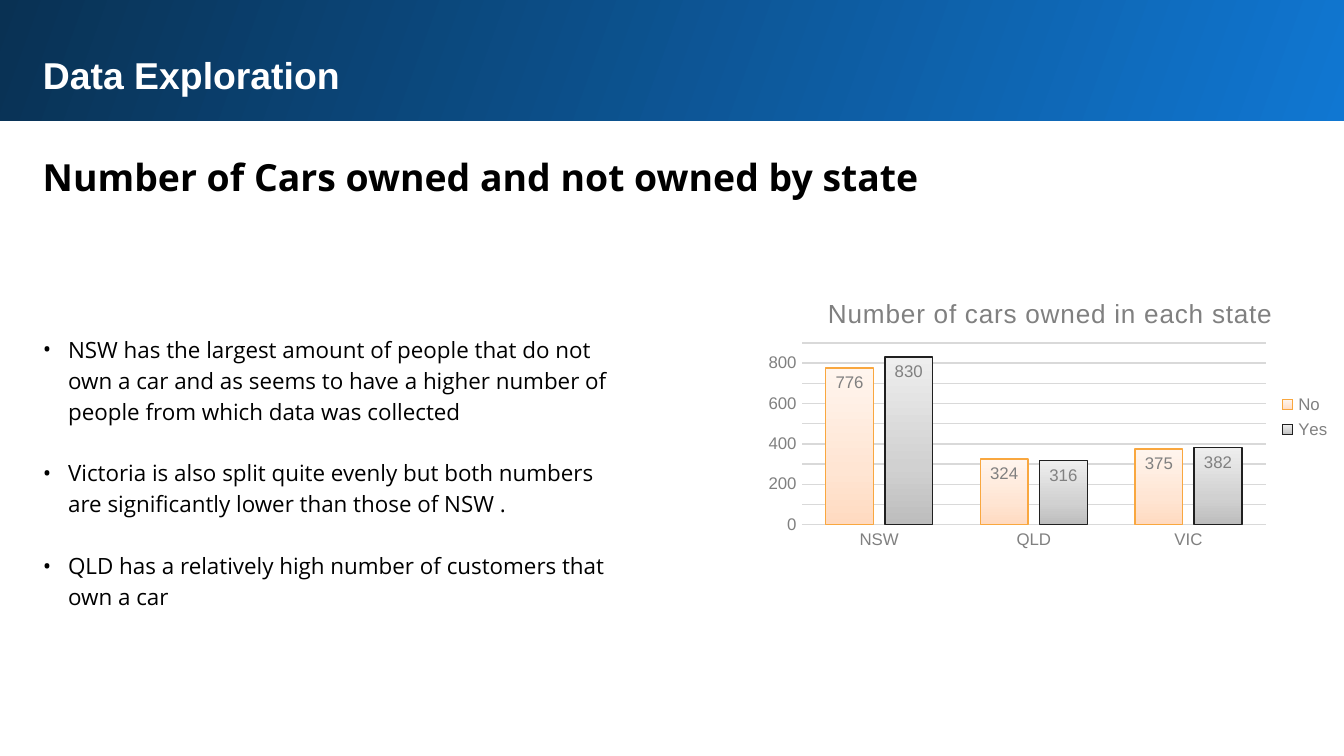
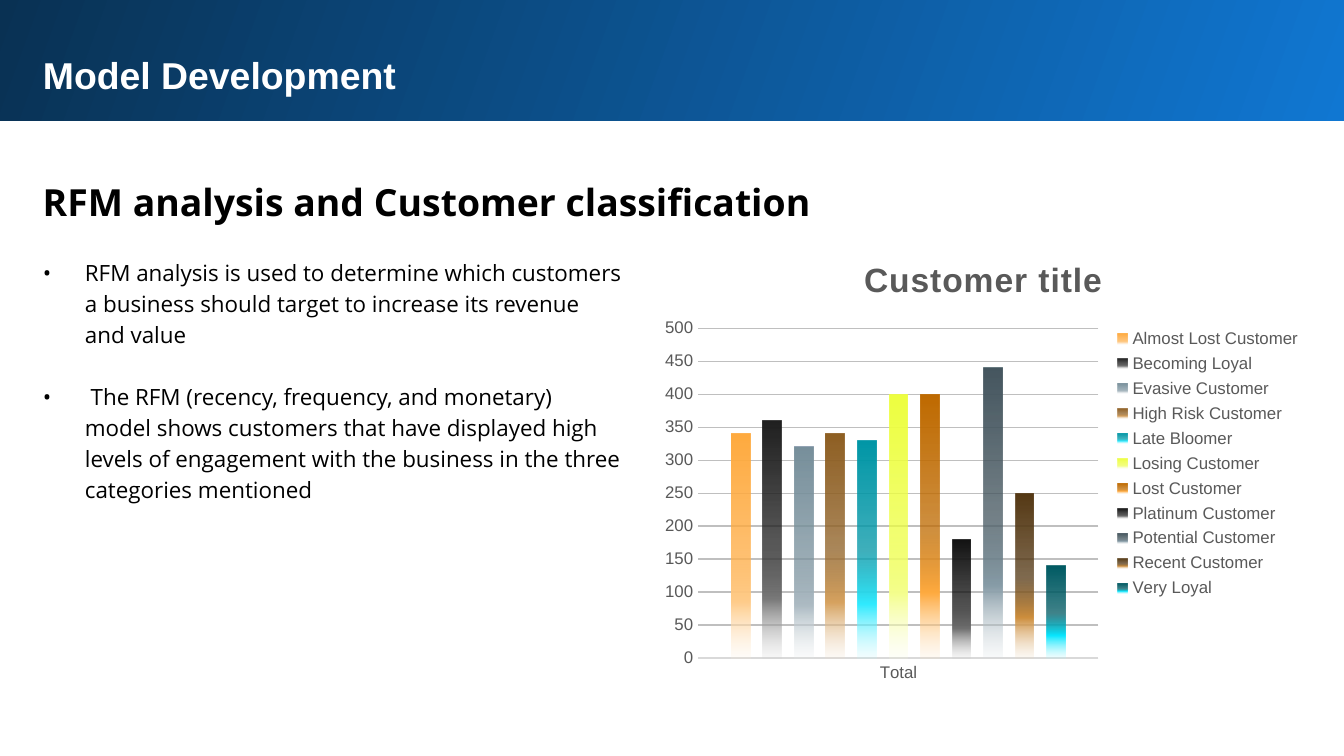
from dataclasses import dataclass

from lxml import etree
from pptx import Presentation
from pptx import util as u
from pptx.chart.data import CategoryChartData
from pptx.dml.color import RGBColor
from pptx.enum import chart as charts, shapes, text
from pptx.oxml.ns import qn

Pt = u.Pt


@dataclass(frozen=True)
class Theme:
    heading_font: str = "Arial"
    body_font: str = "Open Sans"
    white: str = "FFFFFF"
    ink: str = "000000"
    axis_line: str = "D9D9D9"
    band: tuple = ((0, "1077D2"), (100, "093153"))
    heading_size: int = 20
    body_size: int = 12
    chart_size: int = 9


theme = Theme()


def write_text(frame, lines, font=theme.body_font, size=theme.body_size,
               color=theme.ink, bold=False, spacing=1.0, indent=0, gap=0):
    """Fill a text frame; an indent turns the lines into bullets."""
    frame.word_wrap = True
    frame.auto_size = text.MSO_AUTO_SIZE.NONE
    frame.vertical_anchor = text.MSO_ANCHOR.TOP
    frame.margin_left = frame.margin_right = Pt(7.2)
    frame.margin_top = frame.margin_bottom = Pt(7.2)
    for number, line in enumerate(lines):
        paragraph = frame.add_paragraph() if number else frame.paragraphs[0]
        paragraph.alignment = text.PP_ALIGN.LEFT
        paragraph.line_spacing = spacing
        paragraph.space_before = Pt(gap if number else 0)
        paragraph.space_after = Pt(0)
        run = paragraph.add_run()
        run.text = line
        run.font.name, run.font.size, run.font.bold = font, Pt(size), bold
        run.font.color.rgb = RGBColor.from_string(color)
        if indent:
            properties = paragraph._p.get_or_add_pPr()
            properties.set("marL", str(Pt(indent)))
            properties.set("indent", str(-Pt(indent)))
            etree.SubElement(properties, qn("a:buFont"), typeface=font)
            etree.SubElement(properties, qn("a:buChar"), char="•")


def paint_gradient(fill, element, stops, angle):
    """Stops are (percent, colour) or (percent, colour, opacity percent)."""
    fill.gradient()
    gradient = next(element.iter(qn("a:gradFill")))
    gradient.clear()
    stop_list = etree.SubElement(gradient, qn("a:gsLst"))
    for position, color, *opacity in stops:
        stop = etree.SubElement(stop_list, qn("a:gs"), pos=str(position * 1000))
        shade = etree.SubElement(stop, qn("a:srgbClr"), val=color)
        if opacity:
            etree.SubElement(shade, qn("a:alpha"), val=str(opacity[0] * 1000))
    etree.SubElement(gradient, qn("a:lin"), ang=str(angle * 60000), scaled="0")


# Series: name, values, gradient colours from the first stop to the last, outline
car_series = [
    ("No", (776, 324, 375), ("FFDAC0", "FFE5D3", "FFF5EE"), "F9A73F"),
    ("Yes", (830, 316, 382), ("BDBDBD", "D1D1D1", "EEEEEE"), "202020"),
]
customer_series = [
    ("Almost Lost Customer", (340,), ("FFAB40", "FFCD8C", "FFEED9"), None),
    ("Becoming Loyal", (360,), ("212121", "7A7A7A", "D3D3D3"), None),
    ("Evasive Customer", (320,), ("78909C", "AEBCC4", "E4E9EB"), None),
    ("High Risk Customer", (340,), ("8F6024", "D7A360", "F2E0CA"), None),
    ("Late Bloomer", (330,), ("0097A7", "31EBFF", "BAF8FF"), None),
    ("Losing Customer", (400,), ("EEFF41", "F5FF8D", "FCFFD9"), None),
    ("Lost Customer", (400,), ("BF6B00", "FFAB40", "FFE3BF"), None),
    ("Platinum Customer", (180,), ("141414", "727272", "D0D0D0"), None),
    ("Potential Customer", (440,), ("465760", "889DA8", "D7DEE2"), None),
    ("Recent Customer", (250,), ("563A16", "CE8F3E", "EFDABF"), None),
    ("Very Loyal", (140,), ("005B64", "09E7FF", "ADF7FF"), None),
]

pages = [
    dict(
        title="Data Exploration", title_height=39,
        subheading="Number of Cars owned and not owned by state", subheading_top=72,
        points=[
            "NSW has the largest amount of people that do not own a car and as seems "
            "to have a higher number of people from which data was collected",
            "Victoria is also split quite evenly but both numbers are significantly "
            "lower than those of NSW .",
            "QLD has a relatively high number of customers that own a car",
        ],
        points_top=170.6, points_height=197.3, indent=13.5,
        chart_title="Number of cars owned in each state", chart_box=(405.4, 149.8, 314.6, 147.6),
        title_size=14, title_bold=False, tracking=30, chart_color="808080",
        grid="D9D9D9", axis_max=900, axis_step=100, gap_width=100, overlap=-24,
        categories=["NSW", "QLD", "VIC"], series=car_series, labels=True,
    ),
    dict(
        title="Model Development", title_height=63.4,
        subheading="RFM analysis and Customer classification", subheading_top=85,
        points=[
            "RFM analysis is used to determine which customers a business should "
            "target to increase its revenue and value",
            " The RFM (recency, frequency, and monetary) model shows customers that "
            "have displayed high levels of engagement with the business in the three "
            "categories mentioned",
        ],
        points_top=129.6, points_height=164.2, indent=22.5,
        chart_title="Customer title", chart_box=(349.2, 126, 355, 244.8),
        title_size=18, title_bold=True, tracking=50, chart_color="595959",
        grid="BFBFBF", axis_max=500, axis_step=50, gap_width=355, overlap=-70,
        categories=["Total"], series=customer_series, labels=False,
    ),
]

deck = Presentation()
deck.slide_width, deck.slide_height = Pt(720), Pt(405)
left, full_width, column_width = Pt(15.8), Pt(674.6), Pt(325.4)

for page in pages:
    slide = deck.slides.add_slide(deck.slide_layouts[1])

    band = slide.shapes.add_shape(shapes.MSO_SHAPE.RECTANGLE, Pt(-1.5), Pt(-1.5), Pt(723.5), Pt(66.2))
    band.shadow.inherit = False
    band.line.fill.background()
    paint_gradient(band.fill, band._element, theme.band, 200)
    slide.shapes._spTree.insert(2, band._element)

    title = slide.shapes.title
    title.left, title.top = left, Pt(20.9)
    title.width, title.height = full_width, Pt(page["title_height"])
    write_text(title.text_frame, [page["title"]], font=theme.heading_font,
               size=theme.heading_size, color=theme.white, bold=True)

    subheading = slide.shapes.add_textbox(left, Pt(page["subheading_top"]), full_width, Pt(40.3))
    write_text(subheading.text_frame, [page["subheading"]], size=theme.heading_size,
               bold=True, spacing=1.15)

    points = slide.placeholders[1]
    points.left, points.top = left, Pt(page["points_top"])
    points.width, points.height = column_width, Pt(page["points_height"])
    write_text(points.text_frame, page["points"], spacing=1.15, indent=page["indent"], gap=16.6)

    # Chart
    data = CategoryChartData()
    data.categories = page["categories"]
    for name, values, *_ in page["series"]:
        data.add_series(name, values)
    chart = slide.shapes.add_chart(charts.XL_CHART_TYPE.COLUMN_CLUSTERED,
                                   *map(Pt, page["chart_box"]), data).chart
    chart_color = RGBColor.from_string(page["chart_color"])
    chart.font.name, chart.font.size = theme.heading_font, Pt(theme.chart_size)
    chart.font.color.rgb = chart_color

    chart.has_title = True
    caption = chart.chart_title.text_frame.paragraphs[0].add_run()
    caption.text = page["chart_title"]
    caption.font.name, caption.font.size = theme.heading_font, Pt(page["title_size"])
    caption.font.bold = page["title_bold"]
    caption.font.color.rgb = chart_color
    caption.font._element.set("spc", str(page["tracking"]))
    chart.chart_title.include_in_layout = False

    chart.has_legend = True
    chart.legend.position = charts.XL_LEGEND_POSITION.RIGHT
    chart.legend.include_in_layout = False

    category_axis, value_axis = chart.category_axis, chart.value_axis
    for axis in (category_axis, value_axis):
        axis.major_tick_mark = axis.minor_tick_mark = charts.XL_TICK_MARK.NONE
    value_axis.minimum_scale, value_axis.maximum_scale = 0, page["axis_max"]
    value_axis.major_unit = page["axis_step"]
    value_axis.has_major_gridlines = True
    value_axis.format.line.fill.background()
    for line, color in ((category_axis.format.line, theme.axis_line),
                        (value_axis.major_gridlines.format.line, page["grid"])):
        line.color.rgb = RGBColor.from_string(color)
        line.width = Pt(0.75)

    plot = chart.plots[0]
    plot.vary_by_categories = False
    plot.gap_width, plot.overlap = page["gap_width"], page["overlap"]
    for series, (_, _, (start, middle, end), outline) in zip(plot.series, page["series"]):
        if outline:
            stops, angle = ((0, start), (35, middle), (100, end)), 270
            series.format.line.color.rgb = RGBColor.from_string(outline)
            series.format.line.width = Pt(0.75)
        else:
            stops, angle = ((0, start), (51, start, 75), (75, middle), (100, end, 15)), 90
            series.format.line.fill.background()
        paint_gradient(series.format.fill, series._element, stops, angle)
        if page["labels"]:
            labels = series.data_labels
            labels.show_value = True
            labels.position = charts.XL_LABEL_POSITION.INSIDE_END
            labels.font.name, labels.font.size = theme.heading_font, Pt(theme.chart_size)
            labels.font.color.rgb = chart_color

deck.save("out.pptx")
